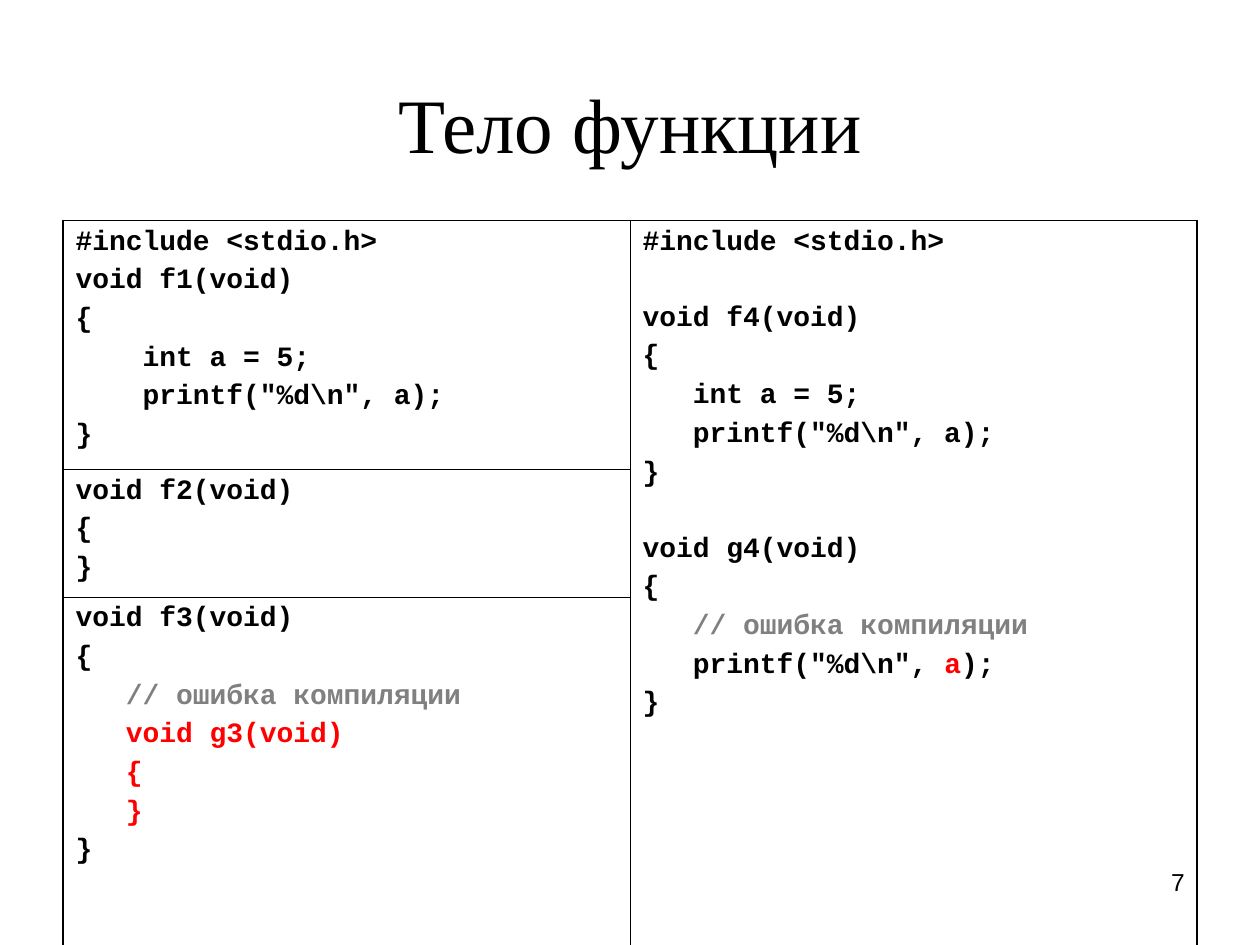
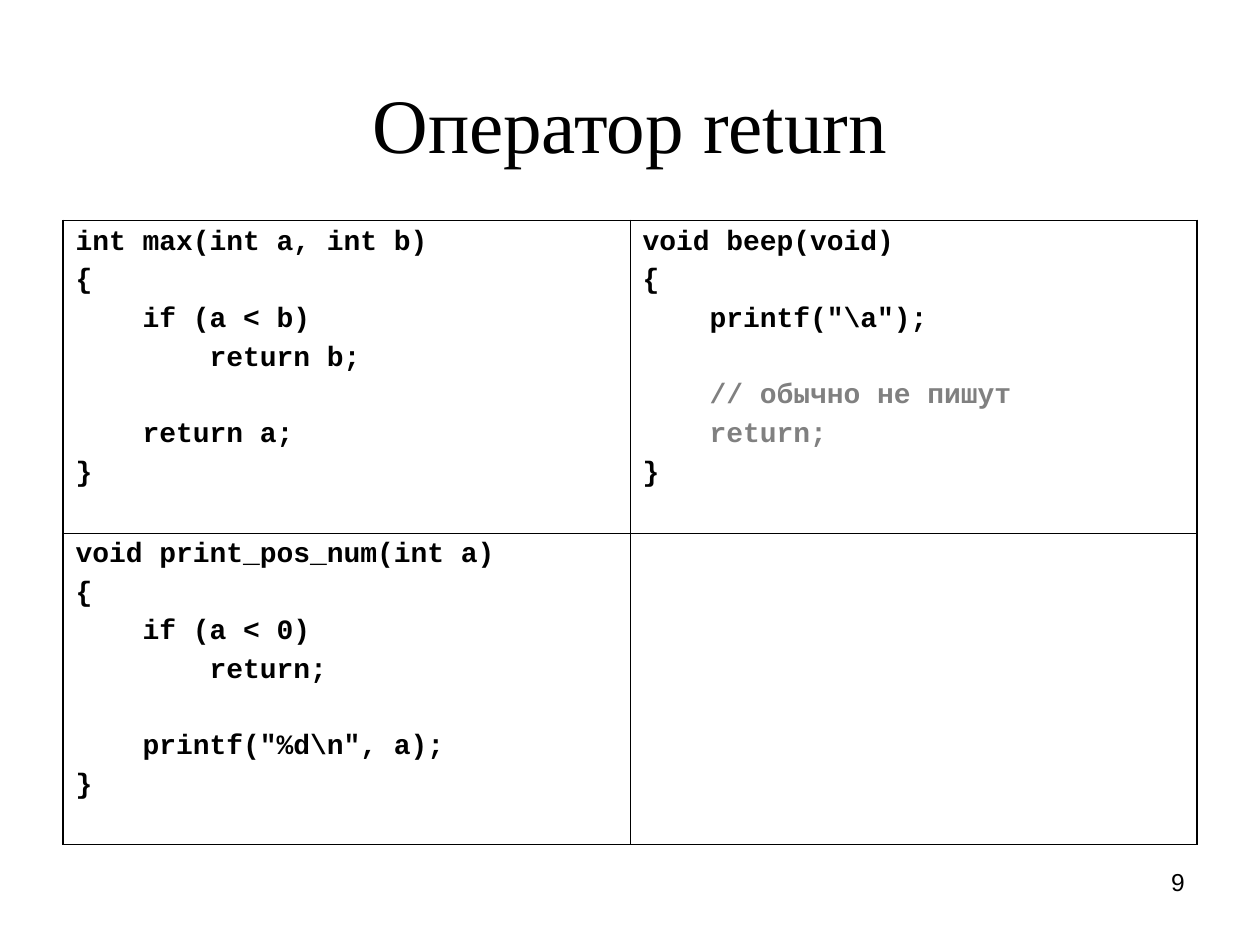
from lxml.etree import SubElement
from pptx import Presentation
from pptx.dml.color import RGBColor
from pptx.enum.text import MSO_ANCHOR, PP_ALIGN
from pptx.oxml import parse_xml
from pptx.oxml.ns import nsdecls, qn
from pptx.util import Pt

# Content: a line is a string, or a list of (colour, text) runs;
# an empty string opens a gap before the next line
INK = {"black": "000000", "grey": "808080", "red": "FF0000"}
ERROR = [("black", "   "), ("grey", "// ошибка компиляции")]

F1 = ["#include <stdio.h>", "void f1(void)", "{", "    int a = 5;",
      '    printf("%d\\n", a);', "}"]
F2 = ["void f2(void)", "{", "}"]
F3 = ["void f3(void)", "{", ERROR,
      [("black", "   "), ("red", "void g3(void)")],
      [("red", "   {")], [("red", "   }")], "}"]
F4 = ["#include <stdio.h>", "", "void f4(void)", "{", "   int a = 5;",
      '   printf("%d\\n", a);', "}", "", "void g4(void)", "{", ERROR,
      [("black", '   printf("%d\\n", '), ("red", "a"), ("black", ");")], "}"]
MAX = ["int max(int a, int b)", "{", "    if (a < b)", "        return b;",
       "", "    return a;", "}"]
BEEP = ["void beep(void)", "{", '    printf("\\a");', "",
        [("grey", "    // обычно не пишут")], [("grey", "    return;")], "}"]
POS = ["void print_pos_num(int a)", "{", "    if (a < 0)", "        return;",
       "", '    printf("%d\\n", a);', "}"]

# Cells are keyed by (row, column); "tall" is a column merged downwards
SLIDES = [
    {"title": "Тело функции", "page": "7", "rows": [136.1, 69.8, 290.9],
     "cells": {(0, 0): F1, (1, 0): F2, (2, 0): F3, (0, 1): F4}, "tall": 1},
    {"title": "Оператор return", "page": "9", "rows": [178.5, 178],
     "cells": {(0, 0): MAX, (0, 1): BEEP, (1, 0): POS}, "tall": None},
]

# Shared layout
LEFT, WIDTH, TOP = 36, 648, 126
COLS = 2
LEAD, GAP = 4, 25.4
THICK, THIN = 1.08, 0.45
PLAIN = "{2D5ABB26-0587-4C30-8999-92F81FD0307C}"


def style(run, face, size, ink="black", bold=False):
    run.font.name = face
    run.font.size = Pt(size)
    run.font.bold = bold
    run.font.color.rgb = RGBColor.from_string(INK[ink])


def label(slide, text, box, face, size, align):
    frame = slide.shapes.add_textbox(*map(Pt, box)).text_frame
    frame.word_wrap = True
    frame.text = text
    para = frame.paragraphs[0]
    para.alignment = align
    style(para.runs[0], face, size)
    return frame


def write(cell, lines):
    frame = cell.text_frame
    lead = None
    for line in lines:
        if not line:
            lead = GAP
            continue
        para = frame.paragraphs[0] if lead is None else frame.add_paragraph()
        if lead:
            para.space_before = Pt(lead)
        lead = LEAD
        for ink, text in [("black", line)] if isinstance(line, str) else line:
            run = para.add_run()
            run.text = text
            style(run, "Courier New", 16, ink, True)


def border(cell, edges):
    """Edges are widths in the order left, right, top, bottom; 0 hides one."""
    props = cell._tc.get_or_add_tcPr()
    for spot, (side, width) in enumerate(zip("LRTB", edges)):
        line = parse_xml(f'<a:ln{side} {nsdecls("a")} w="{Pt(width)}"/>')
        if width:
            fill = SubElement(line, qn("a:solidFill"))
            SubElement(fill, qn("a:srgbClr"), val=INK["black"])
        else:
            SubElement(line, qn("a:noFill"))
        props.insert(spot, line)


def grid(slide, rows, cells, tall):
    count = len(rows)
    shape = slide.shapes.add_table(count, COLS, Pt(LEFT), Pt(TOP),
                                   Pt(WIDTH), Pt(sum(rows)))
    table = shape.table
    table.first_row = table.horz_banding = False
    table._tbl.tblPr.find(qn("a:tableStyleId")).text = PLAIN
    for row, high in enumerate(rows):
        table.rows[row].height = Pt(high)
        for col in range(COLS):
            cell = table.cell(row, col)
            cell.fill.background()
            cell.margin_left = cell.margin_right = Pt(7.2)
            cell.margin_top = cell.margin_bottom = Pt(3.6)
            mid = 0 if col == tall else THIN
            border(cell, (THIN if col else THICK,
                          THICK if col == COLS - 1 else THIN,
                          mid if row else THICK,
                          THICK if row == count - 1 else mid))
            write(cell, cells.get((row, col), []))
    if tall is not None:
        table.cell(0, tall).merge(table.cell(count - 1, tall))


def main():
    deck = Presentation()
    deck.slide_width, deck.slide_height = Pt(720), Pt(540)
    for item in SLIDES:
        slide = deck.slides.add_slide(deck.slide_layouts[6])
        # Page number
        label(slide, item["page"], (516, 492, 168, 37.5), "Arial", 14,
              PP_ALIGN.RIGHT)
        # Title
        head = label(slide, item["title"], (LEFT, 21.6, WIDTH, 90),
                     "Times New Roman", 44, PP_ALIGN.CENTER)
        head.vertical_anchor = MSO_ANCHOR.MIDDLE
        head.margin_top, head.margin_bottom = Pt(6.8), Pt(0)
        # Code table
        grid(slide, item["rows"], item["cells"], item["tall"])
    deck.save("out.pptx")


if __name__ == "__main__":
    main()
